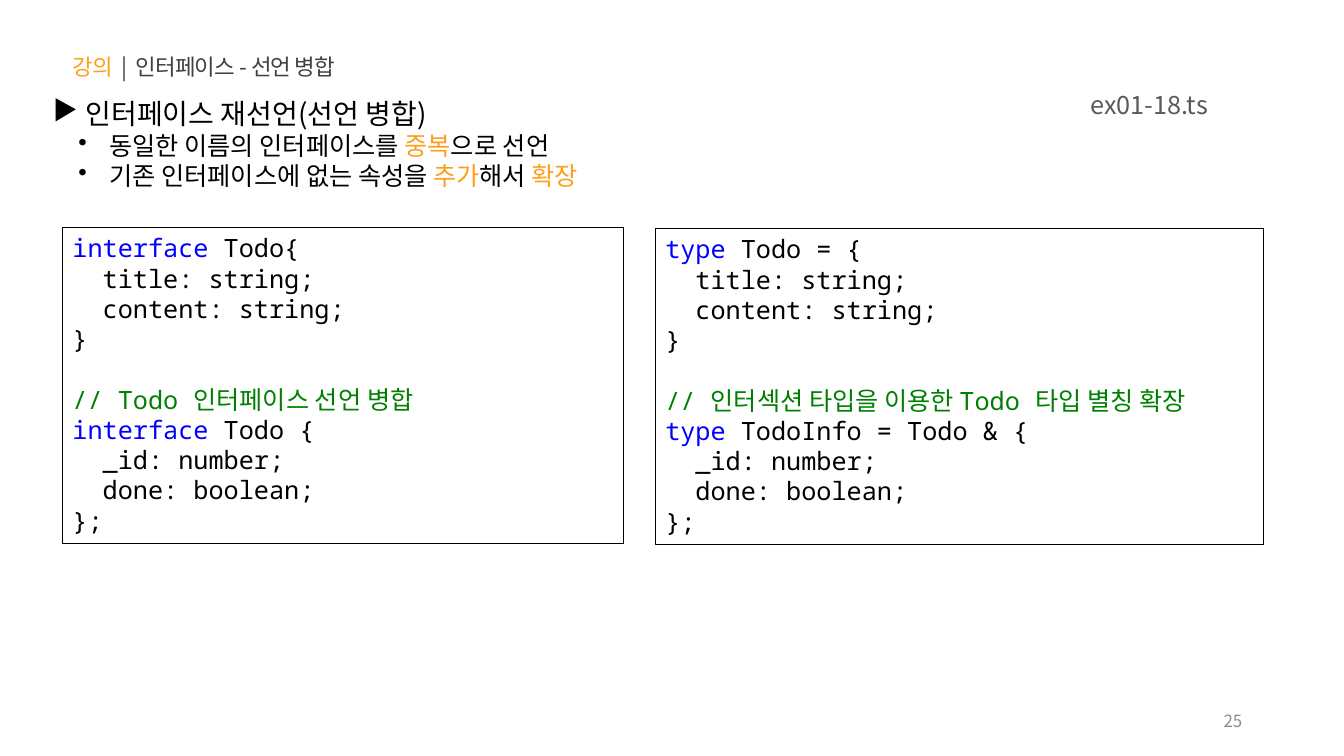
import pptx
import pptx.util
import pptx.dml.color
import pptx.enum.shapes
import pptx.enum.text
import pptx.oxml.ns
from lxml import etree

SANS, MONO = "Noto Sans CJK KR", "Noto Sans Mono"
BLACK, ORANGE, BLUE, GREEN = "000000", "FF9E1B", "0000FF", "008000"
PX = 9144
ALIGN = pptx.enum.text.PP_ALIGN
ANCHOR = pptx.enum.text.MSO_ANCHOR
MEMBERS = ["  title: string;", "  content: string;", "}"]
ADDED_MEMBERS = ["  _id: number;", "  done: boolean;", "};"]


def px(n):
    return pptx.util.Emu(n * PX)


def rgb(value):
    return pptx.dml.color.RGBColor.from_string(value)


def add_run(p, text, color):
    r = p.add_run()
    r.text = text
    r.font.color.rgb = rgb(color)
    return r


def style(p, size, font=SANS, align=ALIGN.LEFT):
    p.alignment = align
    p.font.size = pptx.util.Pt(size)
    p.font.name = font
    latin = p.font._element.find(pptx.oxml.ns.qn("a:latin"))
    ea = etree.Element(pptx.oxml.ns.qn("a:ea"), typeface=SANS)
    latin.addnext(ea)


def next_paragraph(tf, first):
    return tf.paragraphs[0] if first else tf.add_paragraph()


def add_title(s, runs):
    sp = s.shapes.title
    sp.left, sp.top, sp.width, sp.height = px(62), px(48), px(515), px(37)
    tf = sp.text_frame
    tf.vertical_anchor = ANCHOR.TOP
    tf.auto_size = pptx.enum.text.MSO_AUTO_SIZE.NONE
    p = tf.paragraphs[0]
    style(p, 16)
    for text, color in runs:
        r = add_run(p, text, color)
        r.font._element.set("spc", "-60")


def add_text_box(s, x, y, w, h):
    tf = s.shapes.add_textbox(px(x), px(y), px(w), px(h)).text_frame
    tf.word_wrap = True
    return tf


def add_label(s, box, text, size, color, anchor=ANCHOR.TOP):
    tf = add_text_box(s, *box)
    tf.vertical_anchor = anchor
    p = tf.paragraphs[0]
    style(p, size, align=ALIGN.RIGHT)
    add_run(p, text, color)


def set_bullet(p, char, margin, indent):
    pPr = p._p.get_or_add_pPr()
    pPr.set("marL", str(px(margin)))
    pPr.set("indent", str(px(indent)))
    bullet = etree.Element(pptx.oxml.ns.qn("a:buChar"), char=char)
    pPr.find(pptx.oxml.ns.qn("a:defRPr")).addprevious(bullet)


def add_bullets(s, box, items):
    tf = add_text_box(s, *box)
    for i, (level, runs) in enumerate(items):
        p = next_paragraph(tf, i == 0)
        p.level = level
        style(p, 18 if level else 20)
        if level:
            set_bullet(p, "•", 50, -25)
        else:
            set_bullet(p, "▶", 0, 0)
        for text, color in runs:
            add_run(p, text, color)


def add_code(s, box, keyword, opening, comment, extension):
    sp = s.shapes.add_shape(pptx.enum.shapes.MSO_SHAPE.RECTANGLE, *map(px, box))
    sp.shadow.inherit = False
    sp.fill.background()
    sp.line.color.rgb = rgb(BLACK)
    sp.line.width = pptx.util.Pt(0.75)
    tf = sp.text_frame
    tf.word_wrap = True
    tf.vertical_anchor = ANCHOR.TOP
    lines = [[(keyword, BLUE), (opening, BLACK)]]
    lines += [[(text, BLACK)] for text in MEMBERS]
    lines += [[(comment, GREEN)], [(keyword, BLUE), (extension, BLACK)]]
    lines += [[(text, BLACK)] for text in ADDED_MEMBERS]
    for i, runs in enumerate(lines):
        p = next_paragraph(tf, i == 0)
        style(p, 18, MONO)
        if runs[0][0] == comment:
            p.add_line_break()
        for text, color in runs:
            add_run(p, text, color)


def main():
    prs = pptx.Presentation()
    prs.slide_width, prs.slide_height = px(1333), px(750)
    s = prs.slides.add_slide(prs.slide_layouts[5])
    add_title(s, [("강의  ", ORANGE), ("|  인터페이스 - 선언 병합", "404040")])
    add_bullets(s, (43, 91, 914, 104), [
        (0, [(" 인터페이스 재선언(선언 병합)", BLACK)]),
        (1, [(" 동일한 이름의 인터페이스를 ", BLACK), ("중복", ORANGE), ("으로 선언", BLACK)]),
        (1, [(" 기존 인터페이스에 없는 속성을 ", BLACK), ("추가", ORANGE),
             ("해서 ", BLACK), ("확장", ORANGE)]),
    ])
    add_label(s, (942, 695, 300, 40), "25", 12, "8C8C8C", ANCHOR.MIDDLE)
    add_code(s, (62, 226, 556, 313), "interface", " Todo{",
             "// Todo 인터페이스 선언 병합", " Todo {")
    add_code(s, (650, 227, 603, 313), "type", " Todo = {",
             "// 인터섹션 타입을 이용한 Todo 타입 별칭 확장", " TodoInfo = Todo & {")
    add_label(s, (950, 84, 258, 40), "ex01-18.ts", 18, "595959")
    prs.save("out.pptx")


if __name__ == "__main__":
    main()
